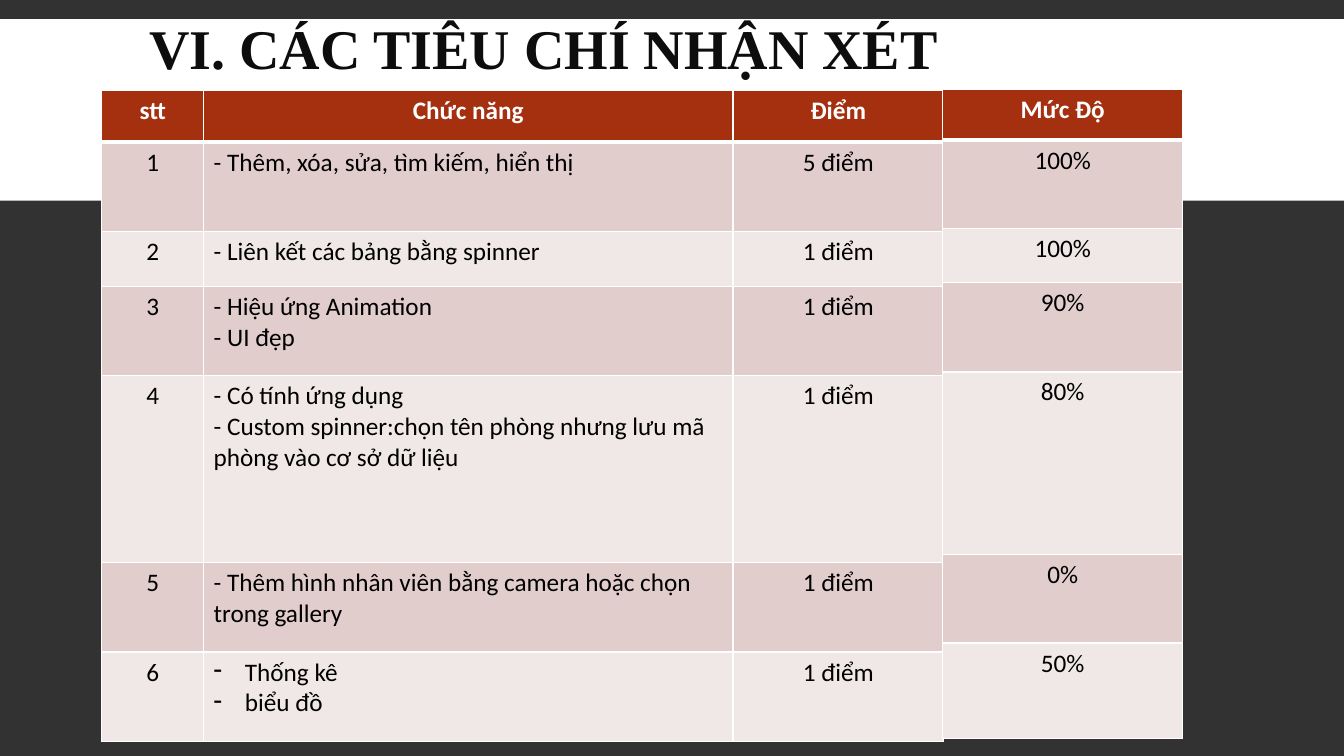
from lxml import etree
from pptx import Presentation
from pptx.dml.color import RGBColor
from pptx.enum.shapes import MSO_SHAPE
from pptx.enum.text import MSO_ANCHOR, PP_ALIGN
from pptx.oxml import parse_xml
from pptx.oxml.ns import nsdecls, qn
from pptx.util import Inches, Pt


def color(value):
    return RGBColor.from_string(value)


def add_table(left, top, widths, heights, rows):
    frame = page.shapes.add_table(len(rows), len(widths), Inches(left), Inches(top),
                                  Inches(sum(widths)), Inches(sum(heights)))
    table = frame.table
    for column, width in zip(table.columns, widths):
        column.width = Inches(width)
    for index, (row, height, texts) in enumerate(zip(table.rows, heights, rows)):
        row.height = Inches(height)
        header = index == 0
        for cell, text in zip(row.cells, texts):
            cell.fill.solid()
            cell.fill.fore_color.rgb = color("A5300F" if header else ROW_FILLS[index % 2])

            # White borders, thicker under the header
            borders = {"lnL": 1, "lnR": 1, "lnT": 3 if index == 1 else 1, "lnB": 3 if header else 1}
            properties = cell._tc.get_or_add_tcPr()
            for position, (side, points) in enumerate(borders.items()):
                properties.insert(position, parse_xml(
                    f'<a:{side} {nsdecls("a")} w="{Pt(points)}"><a:solidFill>'
                    f'<a:srgbClr val="FFFFFF"/></a:solidFill></a:{side}>'))

            # One paragraph per line; a leading bullet sign makes a dash list
            cell.text = text.replace("•", "")
            for para, line in zip(cell.text_frame.paragraphs, text.split("\n")):
                listed = line.startswith(("-", "•"))
                para.alignment = PP_ALIGN.LEFT if listed else PP_ALIGN.CENTER
                style = {"name": "Calibri", "size": Pt(18), "bold": header}
                for name, value in style.items():
                    setattr(para.runs[0].font, name, value)
                para.runs[0].font.color.rgb = color("FFFFFF" if header else "000000")
                if line.startswith("•"):
                    settings = para._p.get_or_add_pPr()
                    settings.set("marL", str(Inches(0.31)))
                    settings.set("indent", str(-Inches(0.31)))
                    etree.SubElement(settings, qn("a:buChar")).set("char", "-")


ROW_FILLS = ["F0E8E7", "E1CDCC"]
CRITERIA = [
    ["stt", "Chức năng", "Điểm"],
    ["1", "- Thêm, xóa, sửa, tìm kiếm, hiển thị", "5 điểm"],
    ["2", "- Liên kết các bảng bằng spinner", "1 điểm"],
    ["3", "- Hiệu ứng Animation\n- UI đẹp", "1 điểm"],
    ["4", "- Có tính ứng dụng\n- Custom spinner:chọn tên phòng nhưng lưu mã phòng "
          "vào cơ sở dữ liệu", "1 điểm"],
    ["5", "- Thêm hình nhân viên bằng camera hoặc chọn trong gallery", "1 điểm"],
    ["6", "•Thống kê\n•biểu đồ", "1 điểm"],
]
LEVELS = [["Mức Độ"], ["100%"], ["100%"], ["90%"], ["80%"], ["0%"], ["50%"]]

deck = Presentation()
deck.slide_width, deck.slide_height = Inches(13.33), Inches(7.5)
page = deck.slides.add_slide(deck.slide_layouts[5])
page.background.fill.solid()
page.background.fill.fore_color.rgb = color("323232")

# Title
title = page.shapes.title
title.left, title.top = Inches(1.38), Inches(-0.29)
title.width, title.height = Inches(10.83), Inches(1.62)
title.text_frame.text = "VI. CÁC TIÊU CHÍ NHẬN XÉT"
title.text_frame.vertical_anchor = MSO_ANCHOR.MIDDLE
para = title.text_frame.paragraphs[0]
para.alignment = PP_ALIGN.LEFT
para.line_spacing = 0.85
for name, value in {"name": "Times New Roman", "size": Pt(40), "bold": True}.items():
    setattr(para.runs[0].font, name, value)
para.runs[0].font.color.rgb = color("0D0D0D")

# White band behind the title
band = page.shapes.add_shape(MSO_SHAPE.RECTANGLE, 0, Inches(0.19), Inches(13.33), Inches(1.8))
band.shadow.inherit = False
band.fill.solid()
band.fill.fore_color.rgb = color("FFFFFF")
band.line.fill.background()
title.element.addprevious(band.element)

# Criteria and completion levels
add_table(1.01, 0.9, [1.01, 5.25, 2.09], [0.51, 0.89, 0.54, 0.89, 1.85, 0.89, 0.89], CRITERIA)
add_table(9.35, 0.89, [2.38], [0.5, 0.88, 0.53, 0.89, 1.81, 0.88, 0.95], LEVELS)

deck.save("out.pptx")
